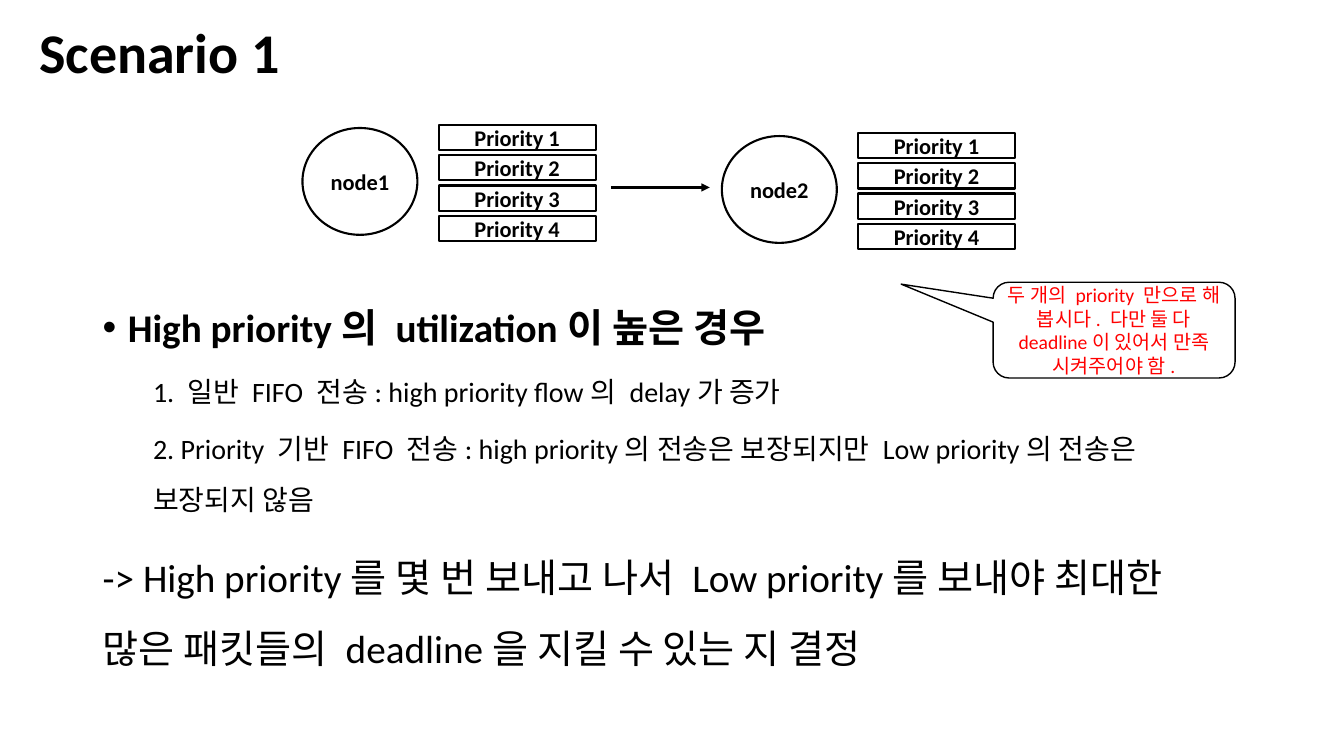
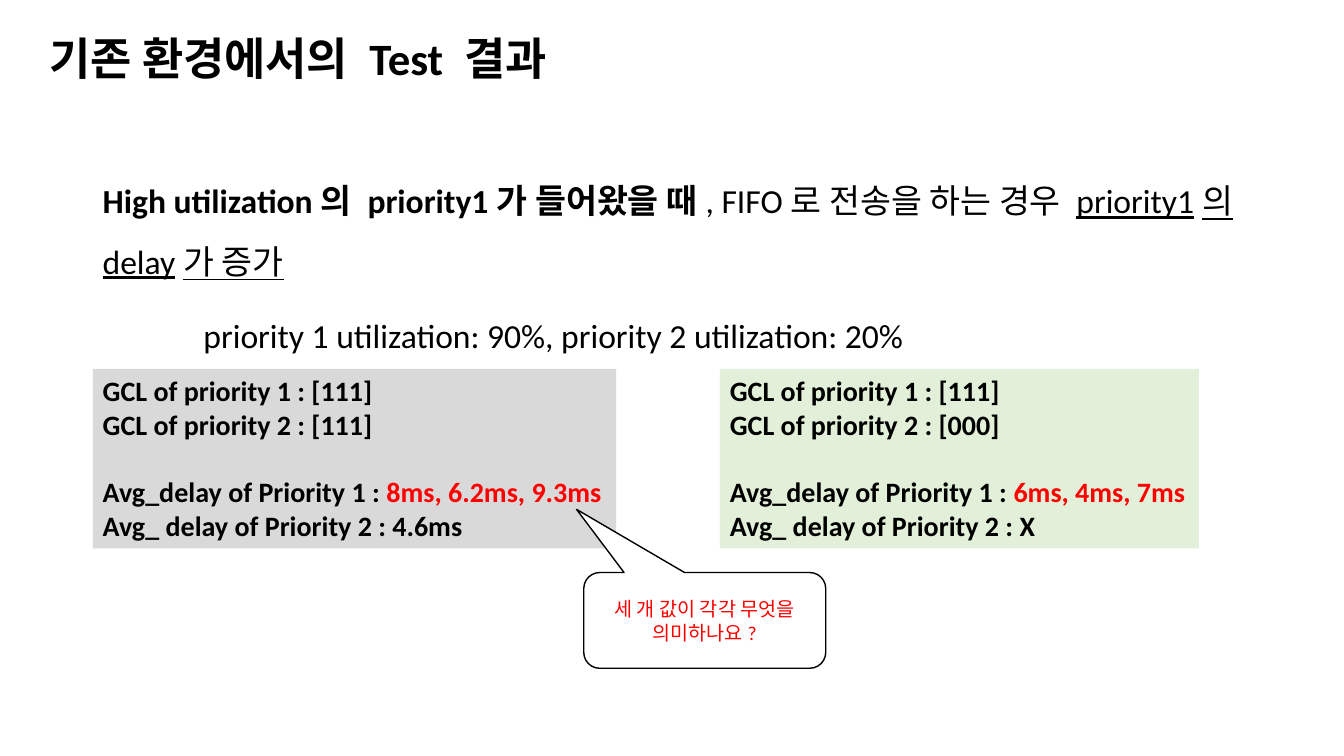
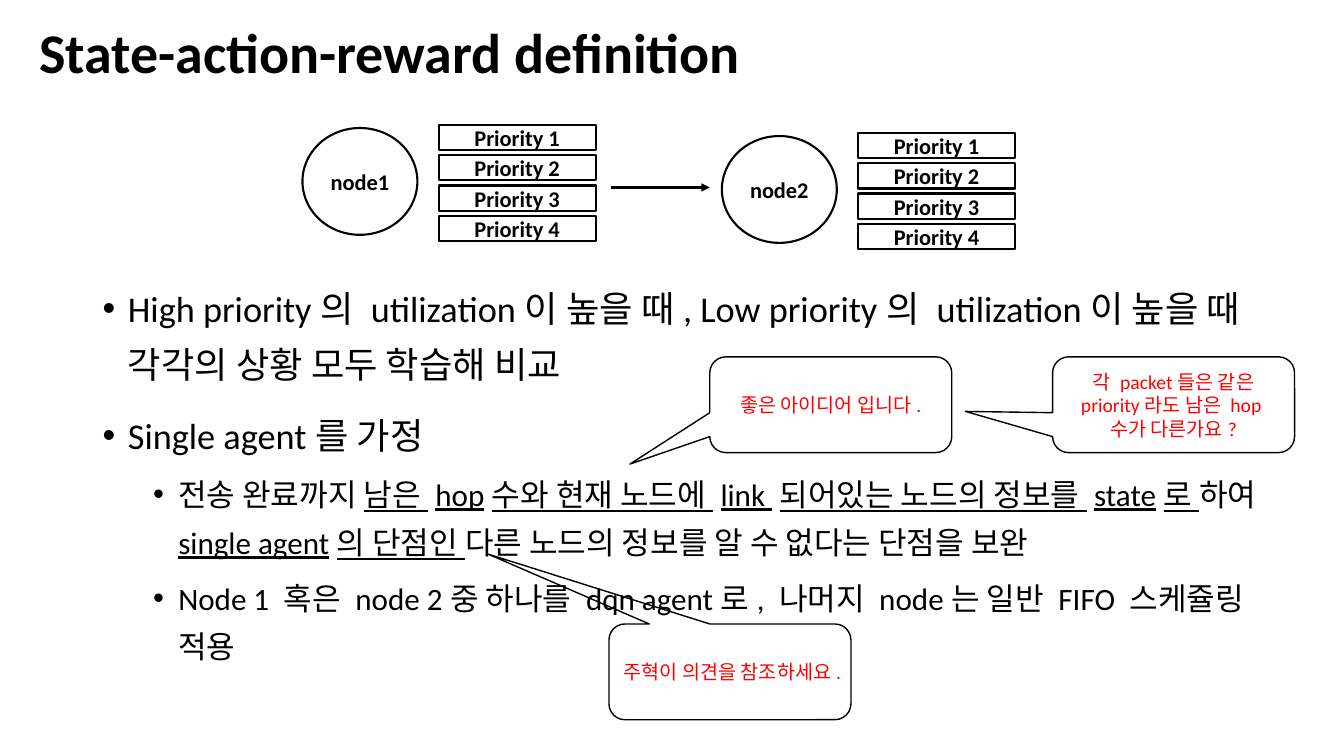
"""Build three slides on priority scheduling between two nodes."""
from lxml import etree
from pptx import Presentation
from pptx.dml.color import RGBColor
from pptx.enum.shapes import MSO_CONNECTOR, MSO_SHAPE
from pptx.enum.text import MSO_ANCHOR, MSO_AUTO_SIZE, PP_ALIGN
from pptx.oxml.ns import qn
from pptx.util import Inches, Pt

RECT = MSO_SHAPE.RECTANGLE
OVAL = MSO_SHAPE.OVAL
CALL = MSO_SHAPE.ROUNDED_RECTANGULAR_CALLOUT
LINE = MSO_CONNECTOR.STRAIGHT
MID, TOP = MSO_ANCHOR.MIDDLE, MSO_ANCHOR.TOP
LEFT, CENTER = PP_ALIGN.LEFT, PP_ALIGN.CENTER
FIXED = MSO_AUTO_SIZE.NONE
FONT = "Calibri"
HUES = {"ink": "000000", "red": "FF0000", "white": "FFFFFF",
        "gray": "D9D9D9", "green": "E2F0D9"}


def write(para, runs, size, align=LEFT):
    """Add runs of (text, marks): b bold, u underlined, r red."""
    para.alignment = align
    for text, marks in runs:
        run = para.add_run()
        run.text = text
        font = run.font
        font.name, font.size = FONT, Pt(size)
        font.bold, font.underline = "b" in marks, "u" in marks
        hue = HUES["red" if "r" in marks else "ink"]
        font.color.rgb = RGBColor.from_string(hue)


def draw(slide, kind, spot, fill, width=0):
    """Add a filled shape, outlined in ink when a width is given."""
    shape = slide.shapes.add_shape(kind, *map(Inches, spot))
    shape.shadow.inherit = False
    shape.fill.solid()
    shape.fill.fore_color.rgb = RGBColor.from_string(HUES[fill])
    if width:
        shape.line.color.rgb = RGBColor.from_string(HUES["ink"])
        shape.line.width = Pt(width)
    else:
        shape.line.fill.background()
    shape.text_frame.word_wrap = True
    shape.text_frame.vertical_anchor = MID
    return shape


deck = Presentation()
deck.slide_width, deck.slide_height = Inches(13.33), Inches(7.5)

titles = [
    ("Scenario 1", 40, 0.29, -0.18),
    ("기존 환경에서의 Test 결과", 32, 0.39, -0.12),
    ("State-action-reward definition", 40, 0.29, -0.18),
]
slides = []
for text, size, left, top in titles:
    slide = deck.slides.add_slide(deck.slide_layouts[5])
    title = slide.shapes.title
    title.left, title.top = Inches(left), Inches(top)
    title.width, title.height = Inches(11.5), Inches(1.45)
    frame = title.text_frame
    frame.auto_size, frame.vertical_anchor = FIXED, MID
    frame.paragraphs[0].line_spacing = 0.9
    write(frame.paragraphs[0], [(text, "b")], size)
    slides.append(slide)
first, test, state = slides

for slide in (first, state):
    for name, x, y in (("node1", 3, 1.24), ("node2", 7.16, 1.32)):
        node = draw(slide, OVAL, (x, y + 0.03, 1.14, 1.06), "white", 1.5)
        write(node.text_frame.paragraphs[0], [(name, "b")], 16, CENTER)
        for row in range(4):
            spot = (x + 1.35, y + 0.3 * row, 1.56, 0.25)
            queue = draw(slide, RECT, spot, "white", 1.5)
            label = [(f"Priority {row + 1}", "b")]
            write(queue.text_frame.paragraphs[0], label, 16, CENTER)
    arrow = slide.shapes.add_connector(
        LINE, Inches(6.06), Inches(1.86), Inches(7.04), Inches(1.86))
    arrow.line.color.rgb = RGBColor.from_string(HUES["ink"])
    arrow.line.width = Pt(1.5)
    edge = arrow.line._get_or_add_ln()
    etree.SubElement(edge, qn("a:tailEnd"), type="triangle")
    etree.SubElement(arrow._element.spPr, qn("a:effectLst"))

bodies = [
    (first, (0.92, 2.73, 11.5, 4.02), 1.5, [
        (28, 0, 0.25, True, [("High priority의 utilization이 높은 경우", "b")]),
        (20, 1, 0.5, False, [
            ("1. 일반 FIFO 전송: high priority flow의 delay가 증가", "")]),
        (20, 1, 0.5, False, [
            ("2. Priority 기반 FIFO 전송: high priority의 전송은 보장되지만 "
             "Low priority의 전송은 보장되지 않음", "")]),
        (28, 0, 0, False, [
            ("-> High priority를 몇 번 보내고 나서 Low priority를 보내야 "
             "최대한 많은 패킷들의 deadline을 지킬 수 있는 지 결정", "")]),
    ]),
    (test, (0.92, 1.54, 11.5, 4.76), 1.5, [
        (24, 0, 0, False, [
            ("High utilization의 priority1가 들어왔을 때", "b"),
            (", FIFO로 전송을 하는 경우 ", ""),
            ("priority1의 delay가 증가", "u")]),
        (24, 0, 1, False, [
            ("priority 1 utilization: 90%, priority 2 utilization: 20%", "")]),
    ]),
    (state, (0.92, 2.66, 11.76, 4.1), 1.3, [
        (25.9, 0, 0.25, True, [
            ("High priority의 utilization이 높을 때, Low priority의 "
             "utilization이 높을 때 각각의 상황 모두 학습해 비교", "")]),
        (25.9, 0, 0.25, True, [("Single agent를 가정", "")]),
        (22.2, 1, 0.75, True, [
            ("전송 완료까지 ", ""),
            ("남은 hop수와 현재 노드에 link 되어있는 노드의 정보를 state로 ", "u"),
            ("하여 ", ""),
            ("single agent의 단점인 ", "u"),
            ("다른 노드의 정보를 알 수 없다는 단점을 보완", "")]),
        (22.2, 1, 0.75, True, [
            ("Node 1 혹은 node 2중 하나를 dqn agent로, "
             "나머지 node는 일반 FIFO 스케쥴링 적용", "")]),
    ]),
]
for slide, spot, space, lines in bodies:
    frame = slide.shapes.add_textbox(*map(Inches, spot)).text_frame
    frame.word_wrap = True
    for row, (size, level, left, dot, runs) in enumerate(lines):
        para = frame.add_paragraph() if row else frame.paragraphs[0]
        para.level, para.line_spacing = level, space
        para.space_before = Pt(5 if level else 10)
        props = para._p.get_or_add_pPr()
        props.set("marL", str(Inches(left)))
        props.set("indent", str(Inches(-0.25 if dot else 0)))
        if dot:
            etree.SubElement(props, qn("a:buFont"), typeface="Arial")
            etree.SubElement(props, qn("a:buChar"), char="•")
        write(para, runs, size)

cards = [
    (0.92, 5.19, "gray", "111", "8ms, 6.2ms, 9.3ms", "4.6ms"),
    (7.14, 4.75, "green", "000", "6ms, 4ms, 7ms", "X"),
]
for left, width, fill, gate, high, low in cards:
    frame = draw(test, RECT, (left, 3.66, width, 1.78), fill).text_frame
    frame.word_wrap, frame.vertical_anchor = False, TOP
    lines = [
        [("GCL of priority 1 : [111]", "b")],
        [(f"GCL of priority 2 : [{gate}]", "b")],
        [("Avg_delay of Priority 1 : ", "b"), (high, "br")],
        [(f"Avg_ delay of Priority 2 : {low}", "b")],
    ]
    for row, runs in enumerate(lines):
        para = frame.add_paragraph() if row else frame.paragraphs[0]
        para.space_before = Pt(24 if row == 2 else 0)
        write(para, runs, 20)

notes = [
    (first, 9.85, 2.8, -0.88, -0.48,
     "두 개의 priority 만으로 해 봅시다. 다만 둘 다 deadline이 있어서 만족 시켜주어야 함."),
    (test, 5.79, 5.68, -0.53, -1.16, "세 개 값이 각각 무엇을 의미하나요?"),
    (state, 6.04, 6.19, -1, -1.23, "주혁이 의견을 참조하세요."),
    (state, 7.04, 3.54, -0.83, 0.62, "좋은 아이디어 입니다."),
    (state, 10.44, 3.54, -0.86, 0.07,
     "각 packet들은 같은 priority라도 남은 hop수가 다른가요?"),
]
for slide, left, top, tipx, tipy, text in notes:
    note = draw(slide, CALL, (left, top, 2.4, 0.95), "white", 1)
    note.adjustments[0], note.adjustments[1] = tipx, tipy
    write(note.text_frame.paragraphs[0], [(text, "r")], 14, CENTER)
    if top > 6:
        slide.shapes.title._element.addprevious(note._element)

deck.save("out.pptx")
